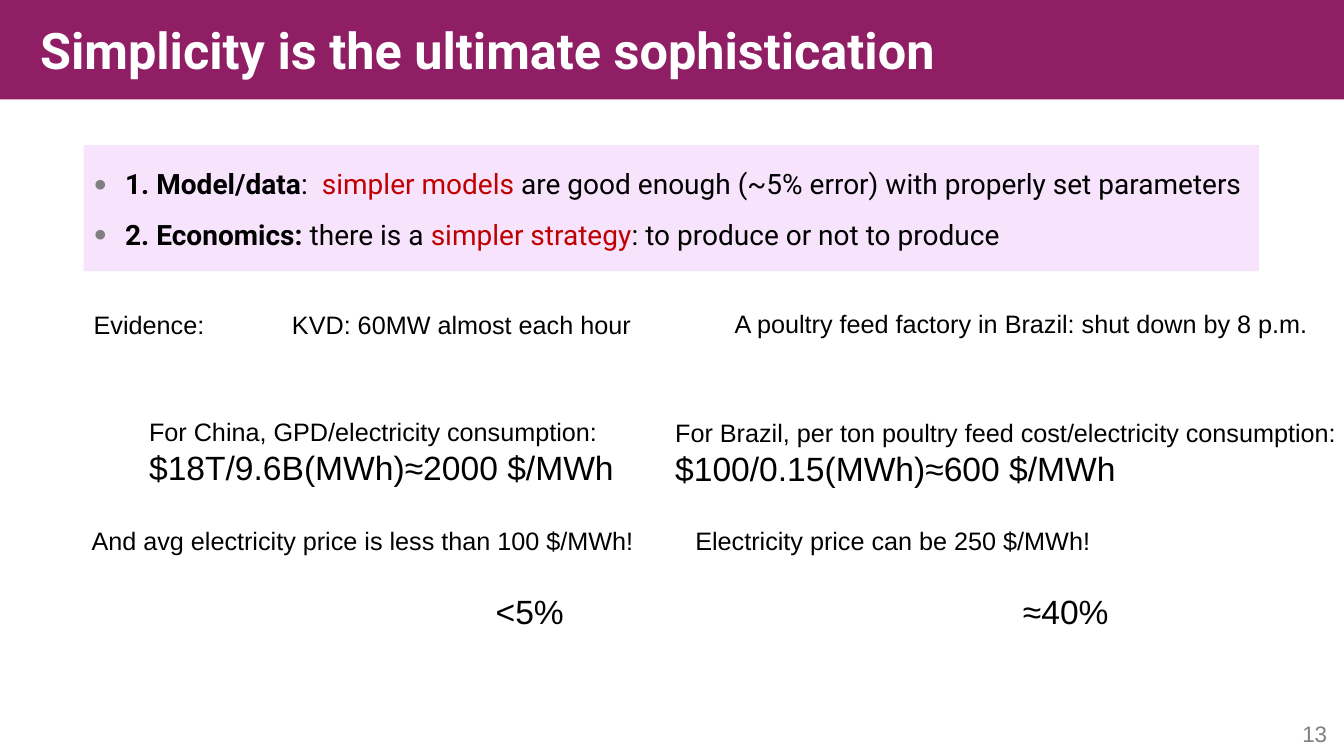
"""Build the slide on simplicity in energy models."""
from typing import NamedTuple

from lxml import etree
from pptx import Presentation
from pptx.dml.color import RGBColor
from pptx.enum import shapes, text
from pptx.oxml import ns
from pptx.util import Pt

PLUM = RGBColor(0x90, 0x1E, 0x65)
LILAC = RGBColor(0xF7, 0xE4, 0xFC)
RED = RGBColor(0xC0, 0x00, 0x00)
GRAY = RGBColor(0x80, 0x80, 0x80)
BLACK = RGBColor(0, 0, 0)
WHITE = RGBColor(0xFF, 0xFF, 0xFF)


class Part(NamedTuple):
    words: str
    size: float = 18
    color: RGBColor = BLACK
    bold: bool = False
    font: str = "Arial"


class Note(NamedTuple):
    left: float
    top: float
    width: float
    height: float
    lines: list[Part]
    wrap: bool = False
    align: text.PP_ALIGN = text.PP_ALIGN.LEFT


def style(run, part: Part) -> None:
    """Format one run."""
    font = run.font
    font.name, font.size, font.bold = part.font, Pt(part.size), part.bold
    font.color.rgb = part.color


def add_note(slide, note: Note) -> None:
    """Add a text box with one paragraph per line."""
    box = slide.shapes.add_textbox(
        Pt(note.left), Pt(note.top), Pt(note.width), Pt(note.height))
    frame = box.text_frame
    frame.text = "\n".join(part.words for part in note.lines)
    frame.word_wrap = note.wrap
    frame.auto_size = text.MSO_AUTO_SIZE.SHAPE_TO_FIT_TEXT
    for para, part in zip(frame.paragraphs, note.lines):
        para.alignment = note.align
        style(para.runs[0], part)


def add_band(slide, left: float, top: float, width: float, height: float,
             fill: RGBColor):
    """Add a plain filled rectangle."""
    band = slide.shapes.add_shape(
        shapes.MSO_SHAPE.RECTANGLE, Pt(left), Pt(top), Pt(width), Pt(height))
    band.shadow.inherit = False
    band.fill.solid()
    band.fill.fore_color.rgb = fill
    band.line.fill.background()
    return band


def add_dot(para) -> None:
    """Give a paragraph a gray hanging bullet."""
    props = para._p.get_or_add_pPr()
    props.set("marL", str(Pt(22.5)))
    props.set("indent", str(-Pt(22.5)))
    color = etree.SubElement(props, ns.qn("a:buClr"))
    etree.SubElement(color, ns.qn("a:srgbClr"), val=str(GRAY))
    etree.SubElement(props, ns.qn("a:buSzPct"), val="80000")
    etree.SubElement(props, ns.qn("a:buFont"), typeface="Arial")
    etree.SubElement(props, ns.qn("a:buChar"), char="●")


def claim(words: str, color: RGBColor = BLACK, bold: bool = False) -> Part:
    """Return a part in the style of the claims."""
    return Part(words, 20, color, bold, "Roboto")


CLAIMS = [
    [claim("1. Model/data", bold=True), claim(":  "),
     claim("simpler models ", RED),
     claim("are good enough (~5% error) with properly set parameters")],
    [claim("2. Economics: ", bold=True), claim("there is a "),
     claim("simpler strategy", RED),
     claim(": to produce or not to produce")],
]

NOTES = [
    Note(874, 511, 81, 29, [Part("13", 16, GRAY)], True, text.PP_ALIGN.RIGHT),
    Note(21.6, 10, 893.5, 51, [Part(
        "Simplicity is the ultimate sophistication",
        36, WHITE, True, "Roboto")], True),
    Note(59.8, 217.5, 94.3, 29, [Part("Evidence:")]),
    Note(201.5, 217.5, 259, 29, [Part("KVD: 60MW almost each hour")]),
    Note(517.7, 216.7, 427.7, 29, [Part(
        "A poultry feed factory in Brazil: shut down by 8 p.m.")]),
    Note(99.4, 293.8, 356.4, 58.3, [
        Part("For China, GPD/electricity consumption:"),
        Part("$18T/9.6B(MWh)≈2000 $/MWh", 24)]),
    Note(475.2, 294.5, 491, 58.3, [
        Part("For Brazil, per ton poultry feed cost/electricity consumption:"),
        Part("$100/0.15(MWh)≈600 $/MWh", 24)]),
    Note(58.3, 372, 405.4, 29, [Part(
        "And avg electricity price is less than 100 $/MWh!")]),
    Note(489.6, 372, 299.5, 29, [Part("Electricity price can be 250 $/MWh!")]),
    Note(347, 418.3, 64, 36, [Part("<5%", 24)]),
    Note(723.6, 418.3, 76.3, 36, [Part("≈40%", 24)]),
]


def add_claims(slide) -> None:
    """Add the lilac panel with the two claims."""
    frame = add_band(slide, 59.8, 103.7, 839.5, 90, LILAC).text_frame
    frame.word_wrap = True
    frame.vertical_anchor = text.MSO_ANCHOR.TOP
    frame.text = "\n".join(parts[0].words for parts in CLAIMS)
    for para, parts in zip(frame.paragraphs, CLAIMS):
        para.alignment = text.PP_ALIGN.LEFT
        para.line_spacing = 1.5
        add_dot(para)
        for part in parts[1:]:
            para.add_run().text = part.words
        for run, part in zip(para.runs, parts):
            style(run, part)


def main() -> None:
    """Build and save the deck."""
    deck = Presentation()
    deck.slide_width, deck.slide_height = Pt(960), Pt(540)
    slide = deck.slides.add_slide(deck.slide_layouts[6])
    add_band(slide, 0, 0, 960, 71, PLUM)
    add_claims(slide)
    for note in NOTES:
        add_note(slide, note)
    deck.save("out.pptx")


if __name__ == "__main__":
    main()
